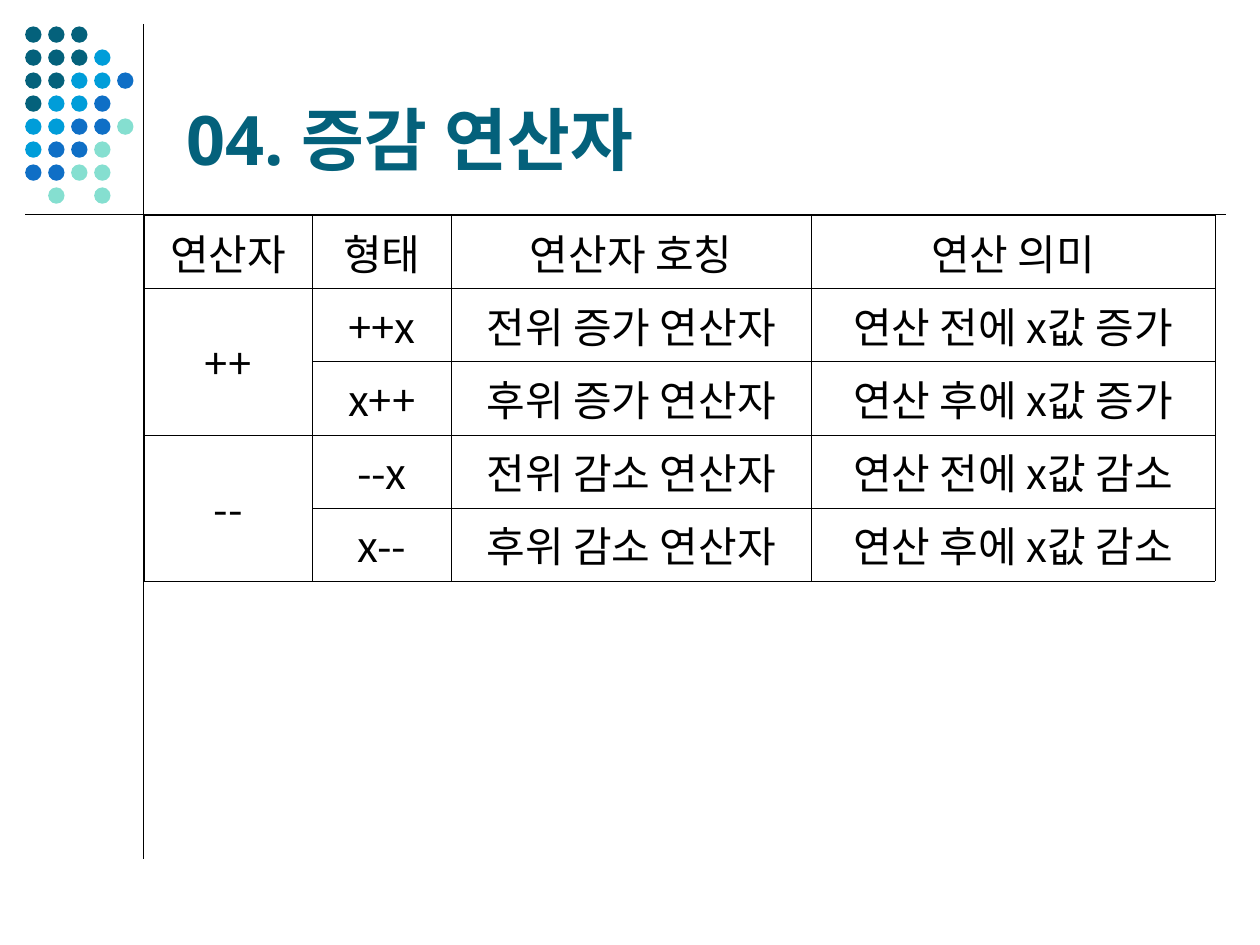
from dataclasses import dataclass

from lxml.etree import SubElement
from pptx import Presentation
from pptx.dml.color import RGBColor
from pptx.enum.shapes import MSO_CONNECTOR, MSO_SHAPE
from pptx.enum.text import MSO_ANCHOR as Anchor, PP_ALIGN as Align
from pptx.oxml.ns import qn
from pptx.util import Inches, Pt


@dataclass(frozen=True)
class Theme:
    teal: str = "04617B"
    sky: str = "009DD9"
    blue: str = "0F6FC6"
    mint: str = "85DFD0"
    ink: str = "000000"
    title_font: str = "Noto Sans"
    body_font: str = "Noto Sans CJK KR"
    title_size: float = 39
    body_size: float = 24
    rule_width: float = 0.75
    grid_width: float = 0.06


THEME = Theme()

DOT_COLORS = {"T": THEME.teal, "S": THEME.sky, "B": THEME.blue, "M": THEME.mint}
DOT_ROWS = ["TTT", "TTTS", "TTSSB", "TSSB", "SSBBM", "SBBM", "BBMM", " M M"]
DOT_SIZE = 0.13
DOT_PITCH = 0.73 / 4

COLUMN_WIDTHS = [1.34, 1.1, 2.86, 3.2]
ROW_HEIGHT = 0.58
OPERATORS = [
    ["연산자", "형태", "연산자 호칭", "연산 의미"],
    ["++", "++x", "전위 증가 연산자", "연산 전에 x값 증가"],
    [None, "x++", "후위 증가 연산자", "연산 후에 x값 증가"],
    ["--", "--x", "전위 감소 연산자", "연산 전에 x값 감소"],
    [None, "x--", "후위 감소 연산자", "연산 후에 x값 감소"],
]


def write_text(frame, text, *, font, size, color, bold=False, align=Align.LEFT):
    paragraph = frame.paragraphs[0]
    paragraph.alignment = align
    run = paragraph.add_run()
    run.text = text
    run.font.size = Pt(size)
    run.font.bold = bold
    run.font.color.rgb = RGBColor.from_string(color)
    run.font.name = font
    SubElement(run.font._element, qn("a:ea"), typeface=font)


def add_rule(slide, x1, y1, x2, y2):
    rule = slide.shapes.add_connector(
        MSO_CONNECTOR.STRAIGHT, Inches(x1), Inches(y1), Inches(x2), Inches(y2))
    rule.line.width = Pt(THEME.rule_width)
    rule.line.color.rgb = RGBColor.from_string(THEME.ink)
    SubElement(rule._element.spPr, qn("a:effectLst"))


def add_dots(slide, left, top):
    for row, codes in enumerate(DOT_ROWS):
        for column, code in enumerate(codes):
            if code not in DOT_COLORS:
                continue
            dot = slide.shapes.add_shape(
                MSO_SHAPE.OVAL,
                Inches(left + column * DOT_PITCH), Inches(top + row * DOT_PITCH),
                Inches(DOT_SIZE), Inches(DOT_SIZE))
            dot.shadow.inherit = False
            dot.fill.solid()
            dot.fill.fore_color.rgb = RGBColor.from_string(DOT_COLORS[code])
            dot.line.fill.background()


def add_title(slide, text):
    box = slide.shapes.add_textbox(
        Inches(1.38), Inches(0.21), Inches(8.25), Inches(1.26))
    box.text_frame.word_wrap = True
    box.text_frame.vertical_anchor = Anchor.BOTTOM
    write_text(box.text_frame, text, font=THEME.title_font,
               size=THEME.title_size, color=THEME.teal, bold=True)


def outline_cell(cell):
    properties = cell._tc.get_or_add_tcPr()
    for side in ("lnL", "lnR", "lnT", "lnB"):
        edge = SubElement(properties, qn(f"a:{side}"), w=str(Pt(THEME.grid_width)))
        fill = SubElement(edge, qn("a:solidFill"))
        SubElement(fill, qn("a:srgbClr"), val=THEME.ink)


def add_operator_table(slide, left, top):
    table = slide.shapes.add_table(
        len(OPERATORS), len(COLUMN_WIDTHS), Inches(left), Inches(top),
        Inches(sum(COLUMN_WIDTHS)), Inches(ROW_HEIGHT * len(OPERATORS))).table
    table.first_row = False
    table.horz_banding = False
    for column, width in zip(table.columns, COLUMN_WIDTHS):
        column.width = Inches(width)
    for row_index, texts in enumerate(OPERATORS):
        table.rows[row_index].height = Inches(ROW_HEIGHT)
        for column_index, text in enumerate(texts):
            cell = table.cell(row_index, column_index)
            outline_cell(cell)
            cell.fill.background()
            cell.vertical_anchor = Anchor.MIDDLE
            if text is None:
                table.cell(row_index - 1, column_index).merge(cell)
            else:
                write_text(cell.text_frame, text, font=THEME.body_font,
                           size=THEME.body_size, color=THEME.ink,
                           align=Align.CENTER)


def main():
    presentation = Presentation()
    presentation.slide_width = Inches(10)
    presentation.slide_height = Inches(7.5)
    slide = presentation.slides.add_slide(presentation.slide_layouts[6])
    add_rule(slide, 1.14, 0.19, 1.14, 6.82)
    add_dots(slide, 0.2, 0.21)
    add_rule(slide, 0.2, 1.7, 9.73, 1.7)
    add_title(slide, "04. 증감 연산자")
    add_operator_table(slide, 1.14, 1.71)
    presentation.save("out.pptx")


if __name__ == "__main__":
    main()
